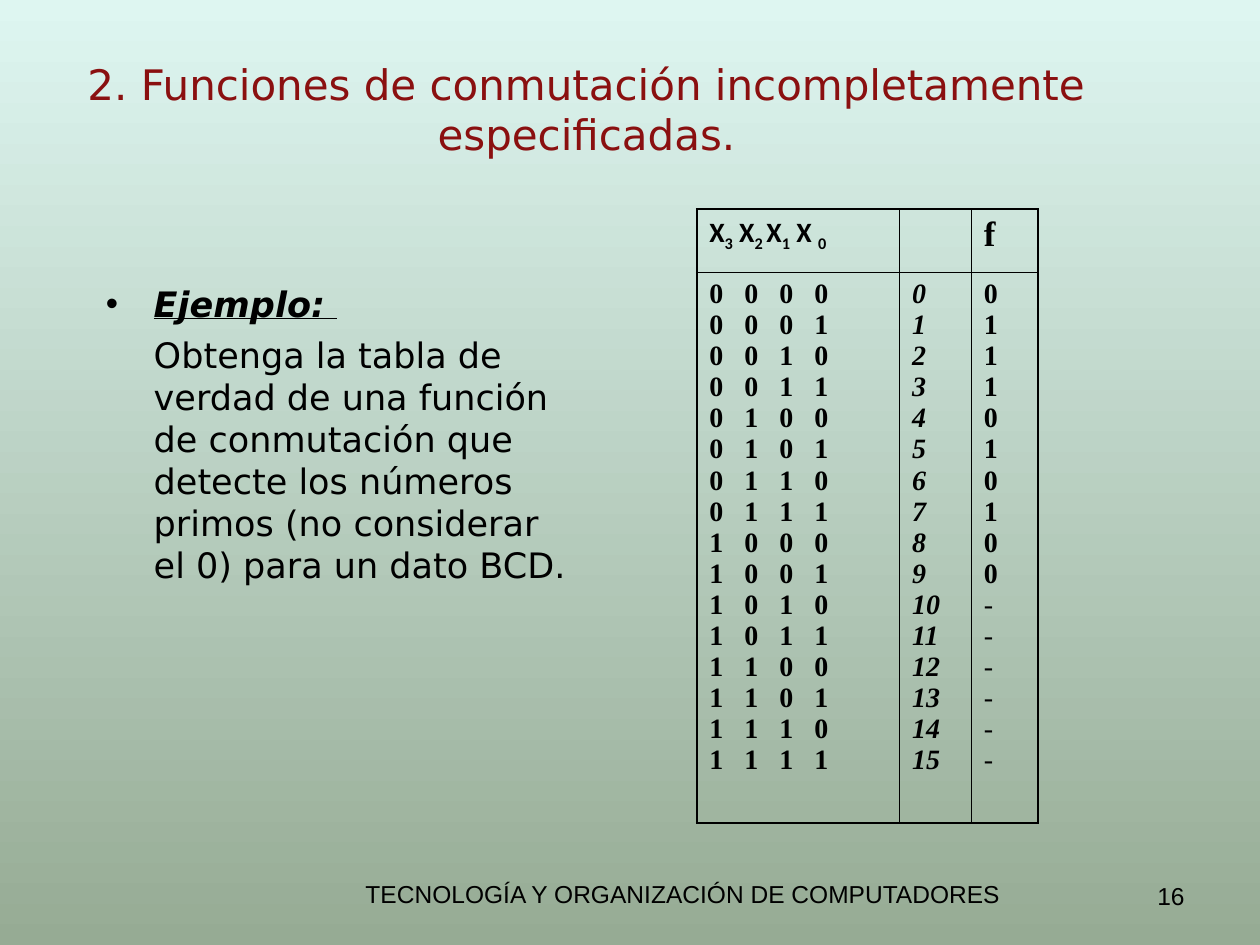
from dataclasses import dataclass

from lxml import etree
from pptx import Presentation
from pptx.dml.color import RGBColor
from pptx.enum.text import MSO_ANCHOR, MSO_AUTO_SIZE, PP_ALIGN
from pptx.oxml.ns import qn
from pptx.util import Inches, Pt

LEFT, CENTER, RIGHT = PP_ALIGN.LEFT, PP_ALIGN.CENTER, PP_ALIGN.RIGHT
MIDDLE, TOP = MSO_ANCHOR.MIDDLE, MSO_ANCHOR.TOP
NO_FIT = MSO_AUTO_SIZE.NONE

COLUMNS, ROWS = 100, 75
SLIDE_WIDTH, SLIDE_HEIGHT = Inches(10), Inches(7.5)


@dataclass(frozen=True)
class Theme:
    sky: str = "DEF6F1"
    moss: str = "96AB94"
    heading: str = "8A1010"
    ink: str = "000000"
    text_font: str = "DejaVu Sans"
    footer_font: str = "Arial"
    header_font: str = "Calibri"
    table_font: str = "Times New Roman"
    title_size: int = 24
    body_size: int = 20
    table_size: int = 16
    footer_size: int = 14
    outer_line: float = 1.08
    inner_line: float = 0.45


THEME = Theme()

TITLE = "2. Funciones de conmutación incompletamente especificadas."
EXAMPLE = ("Ejemplo: ",
           "Obtenga la tabla de verdad de una función de conmutación que "
           "detecte los números primos (no considerar el 0) para un dato BCD.")
FOOTER = "TECNOLOGÍA Y ORGANIZACIÓN DE COMPUTADORES"
PAGE_NUMBER = "16"
VARIABLES = (("X", "3"), (" X", "2 "), ("X", "1"), (" X ", "0"))
OUTPUTS = "0111010100------"
BIT_GAP = 2.78
TABLE_COLUMNS = (16.1, 5.7, 5.3)
TABLE_ROWS = (5, 43.7)


def across(columns):
    return int(SLIDE_WIDTH * columns / COLUMNS)


def down(rows):
    return int(SLIDE_HEIGHT * rows / ROWS)


def area(left, top, width, height):
    return across(left), down(top), across(width), down(height)


def style(span, font, size, color=THEME.ink, bold=False, italic=False, underline=False):
    span.font.name = font
    span.font.size = Pt(size)
    span.font.color.rgb = RGBColor.from_string(color)
    span.font.bold, span.font.italic, span.font.underline = bold, italic, underline


def paint_background(page):
    fill = page.background.fill
    fill.gradient()
    fill.gradient_angle = 270
    for stop, color in zip(fill.gradient_stops, (THEME.sky, THEME.moss)):
        stop.color.rgb = RGBColor.from_string(color)


def place(box, bounds, anchor):
    box.left, box.top, box.width, box.height = bounds
    frame = box.text_frame
    frame.word_wrap, frame.auto_size, frame.vertical_anchor = True, NO_FIT, anchor
    return frame


def fill_title(page):
    frame = place(page.shapes.title, area(2.4, 4.4, 88.3, 8.4), MIDDLE)
    frame.text = TITLE
    para = frame.paragraphs[0]
    para.alignment = CENTER
    style(para.runs[0], THEME.text_font, THEME.title_size, THEME.heading)


def fill_example(page):
    frame = place(page.placeholders[1], area(7.4, 21.9, 38.6, 31.2), TOP)
    frame.text = "\n".join(EXAMPLE)
    for para, is_heading in zip(frame.paragraphs, (True, False)):
        para.space_before = Pt(5)
        style(para.runs[0], THEME.text_font, THEME.body_size,
              bold=is_heading, italic=is_heading, underline=is_heading)
        properties = para._p.get_or_add_pPr()
        properties.set("marL", str(across(3.8)))
        properties.set("indent", str(across(-3.8) if is_heading else 0))
        if is_heading:
            etree.SubElement(properties, qn("a:buChar"), char="•")
        else:
            etree.SubElement(properties, qn("a:buNone"))


def add_footer(page, text, bounds, alignment):
    frame = place(page.shapes.add_textbox(*bounds), bounds, TOP)
    frame.text = text
    para = frame.paragraphs[0]
    para.alignment = alignment
    style(para.runs[0], THEME.footer_font, THEME.footer_size)


def set_borders(cell, outer_sides):
    """Draw all four sides, with the heavier line on the table's outer edge."""
    properties = cell._tc.get_or_add_tcPr()
    for index, side in enumerate("LRTB"):
        width = THEME.outer_line if side in outer_sides else THEME.inner_line
        line = etree.Element(qn(f"a:ln{side}"), w=str(int(Pt(width))))
        fill = etree.SubElement(line, qn("a:solidFill"))
        etree.SubElement(fill, qn("a:srgbClr"), val=THEME.ink)
        properties.insert(index, line)


def set_bit_stops(para):
    stops = etree.SubElement(para._p.get_or_add_pPr(), qn("a:tabLst"))
    for position in range(1, 4):
        etree.SubElement(stops, qn("a:tab"), pos=str(across(BIT_GAP * position)), algn="l")


def fill_variables(cell):
    para = cell.text_frame.paragraphs[0]
    para.space_before = Pt(4)
    for name, subscript in VARIABLES:
        for text, baseline in ((name, 0), (subscript, -25000)):
            span = para.add_run()
            span.text = text
            style(span, THEME.header_font, THEME.table_size, bold=True)
            span.font._element.set("baseline", str(baseline))


def fill_function_name(cell):
    cell.text_frame.text = "f"
    para = cell.text_frame.paragraphs[0]
    para.space_before = Pt(5)
    style(para.runs[0], THEME.table_font, THEME.body_size, bold=True)


def fill_values(cell, values, italic=False):
    cell.text_frame.text = "\n".join(values)
    for para in cell.text_frame.paragraphs:
        style(para.runs[0], THEME.table_font, THEME.table_size,
              bold=para.text != "-", italic=italic)
        if "\t" in para.text:
            set_bit_stops(para)


def add_truth_table(page):
    bounds = area(55.3, 16.6, sum(TABLE_COLUMNS), sum(TABLE_ROWS))
    table = page.shapes.add_table(len(TABLE_ROWS), len(TABLE_COLUMNS), *bounds).table
    table.first_row = table.horz_banding = False
    for column, width in zip(table.columns, TABLE_COLUMNS):
        column.width = across(width)
    for row, height in zip(table.rows, TABLE_ROWS):
        row.height = down(height)
    for row, vertical in enumerate("TB"):
        for column, horizontal in enumerate(("L", "", "R")):
            cell = table.cell(row, column)
            cell.fill.background()
            set_borders(cell, vertical + horizontal)
    numbers = range(len(OUTPUTS))
    fill_variables(table.cell(0, 0))
    fill_function_name(table.cell(0, 2))
    fill_values(table.cell(1, 0), ["\t".join(f"{number:04b}") for number in numbers])
    fill_values(table.cell(1, 1), [str(number) for number in numbers], italic=True)
    fill_values(table.cell(1, 2), OUTPUTS)


def main():
    deck = Presentation()
    deck.slide_width, deck.slide_height = SLIDE_WIDTH, SLIDE_HEIGHT
    page = deck.slides.add_slide(deck.slide_layouts[1])
    paint_background(page)
    add_footer(page, FOOTER, area(27.4, 69.3, 53.6, 5.2), CENTER)
    add_footer(page, PAGE_NUMBER, area(83.5, 69.4, 11.5, 5.2), RIGHT)
    fill_title(page)
    fill_example(page)
    add_truth_table(page)
    deck.save("out.pptx")


if __name__ == "__main__":
    main()
